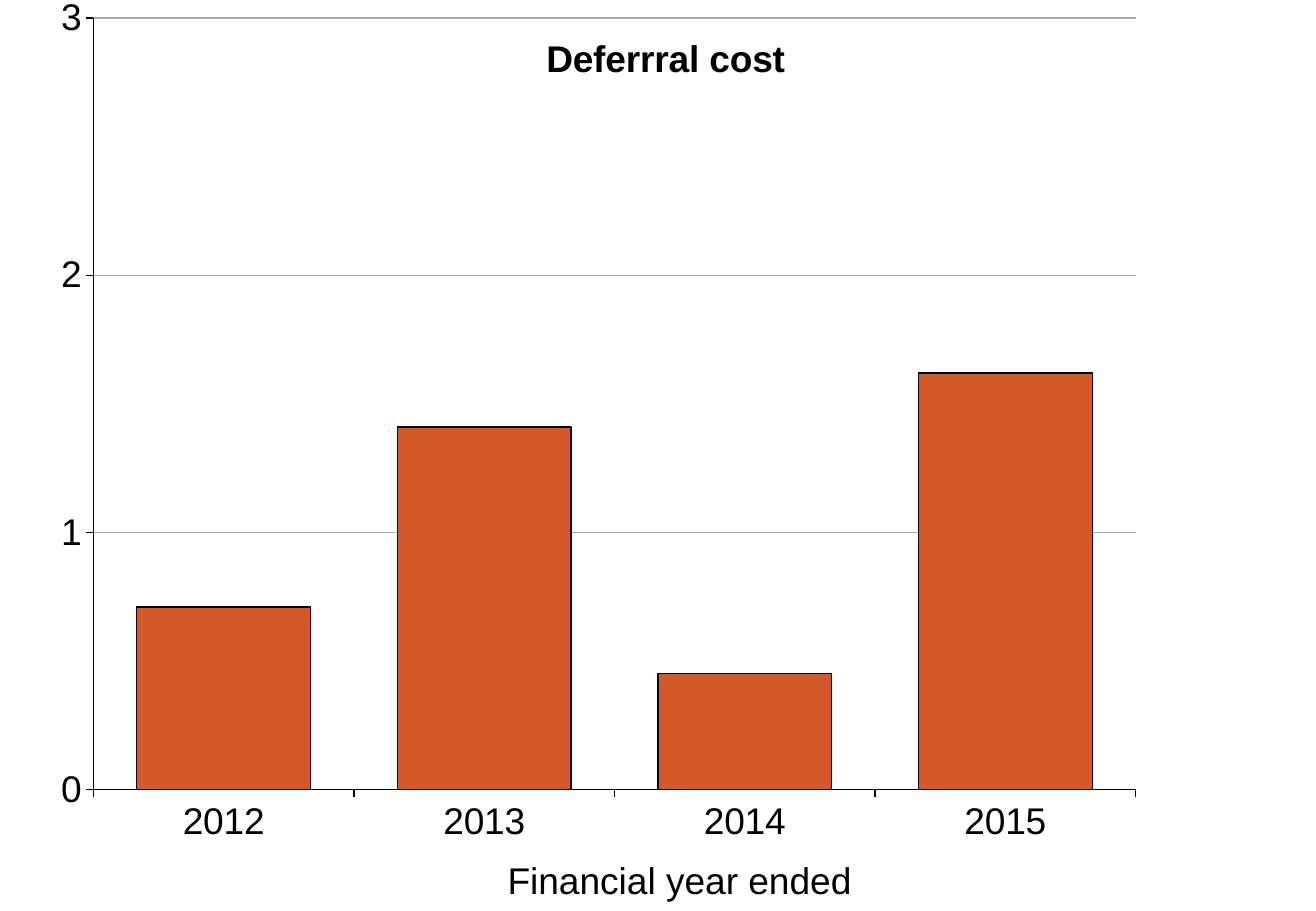
import pptx
import pptx.chart.data
import pptx.dml.color
import pptx.enum.chart
import pptx.oxml
import pptx.oxml.ns
import pptx.util
from pptx.util import Cm

BLACK = pptx.dml.color.RGBColor(0x00, 0x00, 0x00)
ORANGE = pptx.dml.color.RGBColor(0xD4, 0x58, 0x2A)
GREY = pptx.dml.color.RGBColor(0xA4, 0xAB, 0xB1)
COSTS = {"2012": 0.71, "2013": 1.41, "2014": 0.45, "2015": 1.62}


def set_font(font, bold=False):
    font.name = "Arial"
    font.size = pptx.util.Pt(22)
    font.bold = bold
    font.color.rgb = BLACK


def set_line(line, color):
    line.width = pptx.util.Pt(0.75)
    line.color.rgb = color


def set_layout(parent, index, target="", **fractions):
    old = parent.find(pptx.oxml.ns.qn("c:layout"))
    if old is not None:
        parent.remove(old)
    modes = "".join(f'<c:{k}Mode val="edge"/>' for k in "xy")
    sizes = "".join(f'<c:{k} val="{v}"/>' for k, v in fractions.items())
    parent.insert(index, pptx.oxml.parse_xml(
        f'<c:layout {pptx.oxml.ns.nsdecls("c")}><c:manualLayout>'
        f"{target}{modes}{sizes}</c:manualLayout></c:layout>"))


def format_axis(axis):
    set_font(axis.tick_labels.font)
    set_line(axis.format.line, BLACK)
    axis.major_tick_mark = pptx.enum.chart.XL_TICK_MARK.OUTSIDE
    axis.minor_tick_mark = pptx.enum.chart.XL_TICK_MARK.NONE


def add_cost_chart(s, left, top, width, height):
    data = pptx.chart.data.CategoryChartData()
    data.categories = list(COSTS)
    data.add_series("Deferrral cost", list(COSTS.values()))
    chart = s.shapes.add_chart(
        pptx.enum.chart.XL_CHART_TYPE.COLUMN_CLUSTERED,
        left, top, width, height, data).chart
    chart.has_legend = False
    set_font(chart.font)

    p = chart.chart_title.text_frame.paragraphs[0]
    p.text = "Deferrral cost"
    set_font(p.font, bold=True)
    set_layout(chart.chart_title._element, 1, x=0.41, y=0.035)
    set_layout(chart._chartSpace.chart.plotArea, 0,
               '<c:layoutTarget val="inner"/>',
               x=0.071, y=0.024, w=0.792, h=0.847)

    format_axis(chart.category_axis)
    costs = chart.value_axis
    format_axis(costs)
    costs.minimum_scale, costs.maximum_scale, costs.major_unit = 0, 3, 1
    costs.tick_labels.number_format = "0"
    costs.tick_labels.number_format_is_linked = False
    costs.has_major_gridlines = True
    set_line(costs.major_gridlines.format.line, GREY)

    plot = chart.plots[0]
    plot.gap_width = 50
    plot.overlap = 100
    plot.vary_by_categories = False
    bars = plot.series[0].format
    bars.fill.solid()
    bars.fill.fore_color.rgb = ORANGE
    set_line(bars.line, BLACK)


def add_axis_caption(s, left, top, width, height):
    tf = s.shapes.add_textbox(left, top, width, height).text_frame
    tf.word_wrap = False
    p = tf.paragraphs[0]
    p.text = "Financial year ended"
    set_font(p.font)


def main():
    prs = pptx.Presentation()
    prs.slide_width, prs.slide_height = Cm(27.51), Cm(19.05)
    s = prs.slides.add_slide(prs.slide_layouts[6])
    add_cost_chart(s, 0, Cm(-0.08), prs.slide_width, prs.slide_height)
    add_axis_caption(s, Cm(10.36), Cm(17.81), Cm(7.8), Cm(1.19))
    prs.save("out.pptx")


if __name__ == "__main__":
    main()
